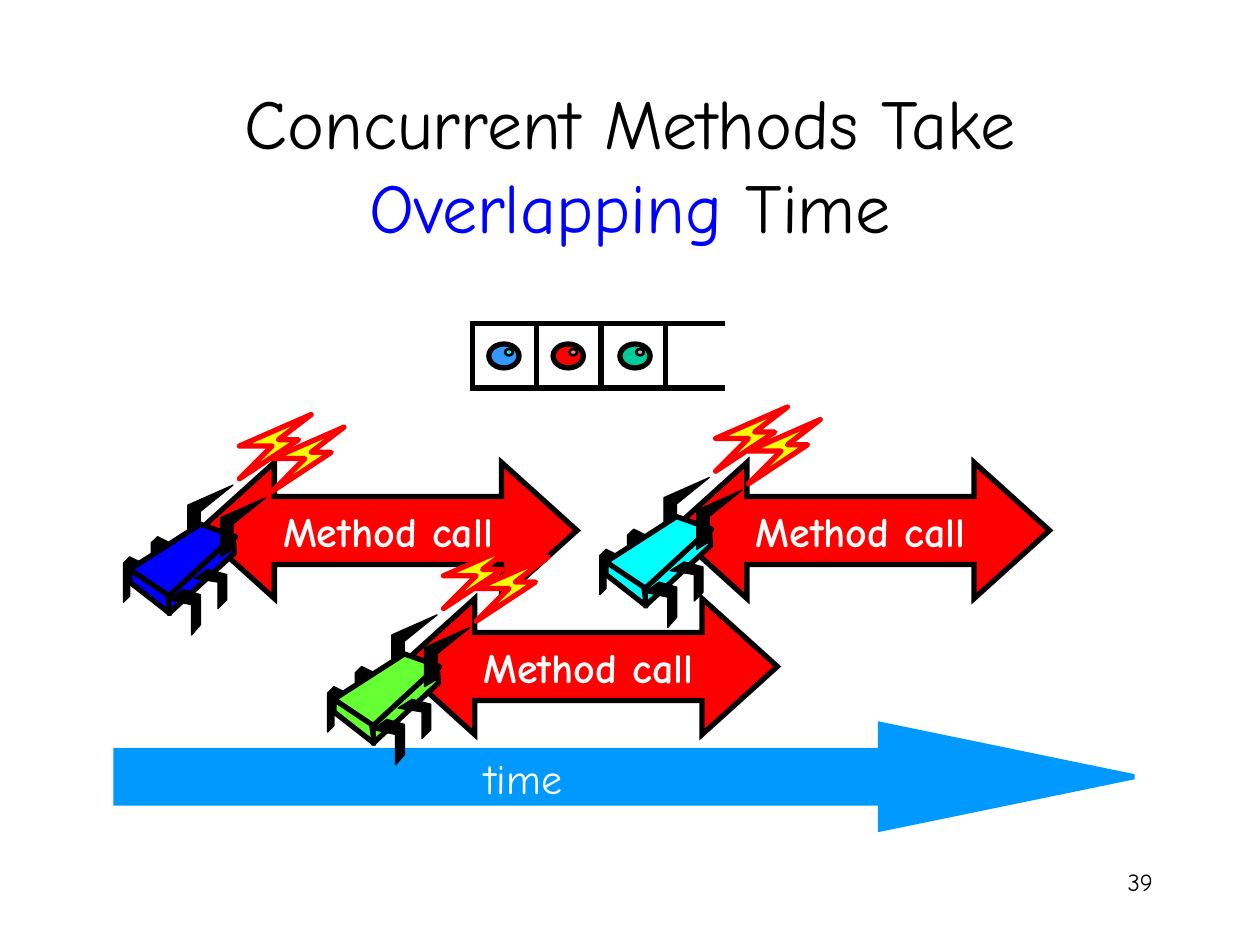
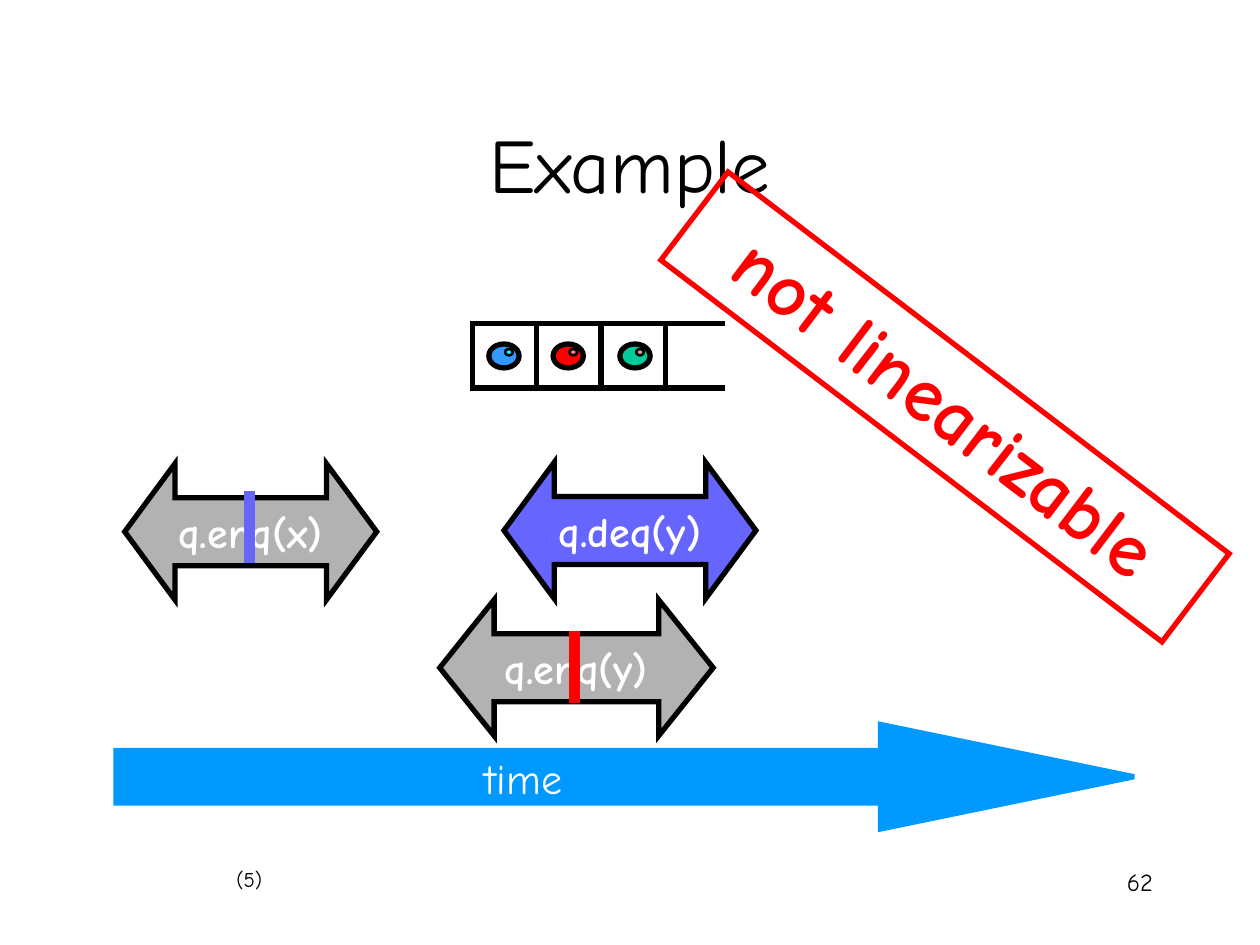
"""Builds two slides on overlapping method calls on a shared queue."""
from lxml import etree
from pptx import Presentation, util as u
from pptx.dml.color import RGBColor
from pptx.enum import shapes, text
from pptx.oxml import ns

FONT = "Comic Neue"
C = dict(black="000000", white="FFFFFF", blue="0000FF", sky="0099FF", red="FF0000",
         yellow="FFFF00", cyan="00FFFF", lime="66FF33", violet="6666FF", grey="B2B2B2",
         ball="3399FF", pink="FF7C80", green="00CC99")

TITLE_BOX = (0.75, 0.67, 8.5, 1.25)
NUMBER_BOX = (7.17, 6.83, 2.08, 0.5)
TIME_ARROW = (0.92, 5.75, 8.08, 0.83)
TIME_LABEL = (3.67, 5.92, 0.89, 0.5)
UPPER, LOWER, CALL_H = 3.67, 4.75, 1.08
QUEUE_X, QUEUE_Y, CELL = 3.75, 2.57, 0.51
BALLS = [(0.13, "ball", "cyan"), (0.64, "red", "pink"), (1.17, "green", "grey")]

BOLT = [(92, 51), (118, 25), (92, 25), (149, 0), (123, 20), (139, 20)]
ANTENNA = [(51, 103), (61, 97), (61, 77), (87, 56), (51, 72)]
BACK_LEG = [(15, 118), (5, 113), (0, 118), (0, 149), (5, 144), (5, 123), (15, 128)]
BODY = [[(61, 87), (5, 123), (36, 145), (89, 97)],
        [(87, 97), (36, 144), (36, 158), (88, 110)],
        [(5, 123), (5, 133), (37, 158), (35, 143)]]
FRONT_LEGS = [[(47, 139), (36, 147), (54, 151), (54, 175), (61, 167), (61, 143)],
              [(67, 123), (56, 130), (75, 133), (75, 154), (82, 147), (82, 127)]]
PAIR_STEP, LEG_STEP = (26, 10), (22, -16)

SLIDES = [
    dict(number="39", size=40, title=[("Concurrent Methods Take ", "black"),
                                      ("Overlapping", "blue"), (" Time", "black")],
         calls=[("Method call", 1.58, UPPER, 3, "red"), ("Method call", 5.33, UPPER, 3, "red"),
                ("Method call", 3.17, LOWER, 3, "red")],
         threads=[(0.98, 3.29, "blue"), (4.76, 3.23, "cyan"), (2.6, 4.32, "lime")]),
    dict(number="62", size=44, title=[("Example", "black")],
         calls=[("q.deq(y)", 4, UPPER, 2, "violet"), ("q.enq(x)", 0.99, UPPER + 0.01, 2, "grey"),
                ("q.enq(y)", 3.49, LOWER + 0.01, 2.17, "grey")],
         points=[(1.98, 3.9, "violet"), (4.56, 5.01, "red")],
         step="(5)", verdict="not linearizable"),
]
HEADS = {3: 0.554, 2: 0.369, 2.17: 0.4}


def rgb(name):
    return RGBColor.from_string(C[name])


def inches(*values):
    return [u.Inches(v) for v in values]


def write(sp, runs, size, align, bold=False, wrap=True, anchor=text.MSO_ANCHOR.TOP):
    tf = sp.text_frame
    tf.word_wrap, tf.vertical_anchor = wrap, anchor
    tf.auto_size = text.MSO_AUTO_SIZE.NONE
    p = tf.paragraphs[0]
    p.alignment = align
    for words, color in runs:
        r = p.add_run()
        r.text = words
        r.font.name, r.font.size, r.font.bold = FONT, u.Pt(size), bold
        r.font.color.rgb = rgb(color)


def paint(sp, fill, line, width):
    sp.shadow.inherit = False
    if fill:
        sp.fill.solid()
        sp.fill.fore_color.rgb = rgb(fill)
    else:
        sp.fill.background()
    sp.line.color.rgb = rgb(line)
    sp.line.width = u.Pt(width)


def add_preset(s, kind, box, fill, line="black", width=3, adjust=()):
    sp = s.shapes.add_shape(kind, *inches(*box))
    paint(sp, fill, line, width)
    miter = etree.SubElement(sp.line._get_or_add_ln(), ns.qn("a:miter"))
    miter.set("lim", "800000")
    for i, value in enumerate(adjust):
        sp.adjustments[i] = value
    return sp


def add_label(s, box, words, size, color, wrap=True):
    sp = s.shapes.add_textbox(*inches(*box))
    write(sp, [(words, color)], size, text.PP_ALIGN.RIGHT, wrap=wrap)


def add_line(s, x1, y1, x2, y2, color, width):
    sp = s.shapes.add_connector(shapes.MSO_CONNECTOR.STRAIGHT, *inches(x1, y1, x2, y2))
    sp.line.color.rgb = rgb(color)
    sp.line.width = u.Pt(width)
    etree.SubElement(sp._element.spPr, ns.qn("a:effectLst"))


def add_queue(s):
    for x, ball, glint in BALLS:
        add_preset(s, shapes.MSO_SHAPE.OVAL, (QUEUE_X + x, QUEUE_Y + 0.16, 0.24, 0.19), ball)
        add_preset(s, shapes.MSO_SHAPE.OVAL, (QUEUE_X + x + 0.13, QUEUE_Y + 0.2, 0.06, 0.05),
                   glint, width=1.5)
    for i in range(len(BALLS)):
        add_preset(s, shapes.MSO_SHAPE.RECTANGLE, (QUEUE_X + i * CELL, QUEUE_Y, CELL, CELL), None)
    for y in (QUEUE_Y, QUEUE_Y + CELL):
        add_line(s, 5.24, y, 5.75, y, "black", 3)


def add_thread(s, x, y, color):
    def outline(points, fill, line="black", width=0.75, step=(0, 0)):
        moved = [(px + step[0], py + step[1]) for px, py in points]
        fb = s.shapes.build_freeform(*moved[0], scale=u.Inches(0.01))
        fb.add_line_segments(moved[1:], close=True)
        paint(fb.convert_to_shape(*inches(x, y)), fill, line, width)

    outline(BOLT, "yellow", "red", 3)
    outline(ANTENNA, "black")
    outline(BACK_LEG, "black")
    outline(BACK_LEG, "black", step=LEG_STEP)
    for face in BODY:
        outline(face, color, width=3)
    for leg in FRONT_LEGS:
        outline(leg, "black")
    outline(ANTENNA, "black", step=PAIR_STEP)
    outline(BOLT, "yellow", "red", 3, PAIR_STEP)


def add_slide(prs, data):
    s = prs.slides.add_slide(prs.slide_layouts[5])
    title = s.shapes.title
    title.left, title.top, title.width, title.height = inches(*TITLE_BOX)
    write(title, data["title"], data["size"], text.PP_ALIGN.CENTER, anchor=text.MSO_ANCHOR.MIDDLE)
    add_label(s, NUMBER_BOX, data["number"], 14, "black")
    add_preset(s, shapes.MSO_SHAPE.RIGHT_ARROW, TIME_ARROW, "sky", "sky", adjust=(0.5, 2.425))
    add_label(s, TIME_LABEL, "time", 24, "white", wrap=False)
    add_queue(s)
    for words, x, y, w, fill in data["calls"]:
        sp = add_preset(s, shapes.MSO_SHAPE.LEFT_RIGHT_ARROW, (x, y, w, CALL_H), fill,
                        adjust=(0.5, HEADS[w]))
        write(sp, [(words, "white")], 24, text.PP_ALIGN.CENTER, True, False,
              text.MSO_ANCHOR.MIDDLE)
    for thread in data.get("threads", []):
        add_thread(s, *thread)
    for x, y, color in data.get("points", []):
        add_line(s, x, y, x, y + 0.57, color, 6)
    if "step" in data:
        add_label(s, (1.75, 6.83, 0.43, 0.3), data["step"], 12, "black", wrap=False)
    if "verdict" in data:
        sp = add_preset(s, shapes.MSO_SHAPE.RECTANGLE, (5, 2.79, 5, 0.88), None, "red")
        sp.rotation = 37.3
        write(sp, [(data["verdict"], "red")], 44, text.PP_ALIGN.CENTER, True)


def main():
    prs = Presentation()
    prs.slide_width, prs.slide_height = inches(10, 7.5)
    for data in SLIDES:
        add_slide(prs, data)
    prs.save("out.pptx")


if __name__ == "__main__":
    main()
